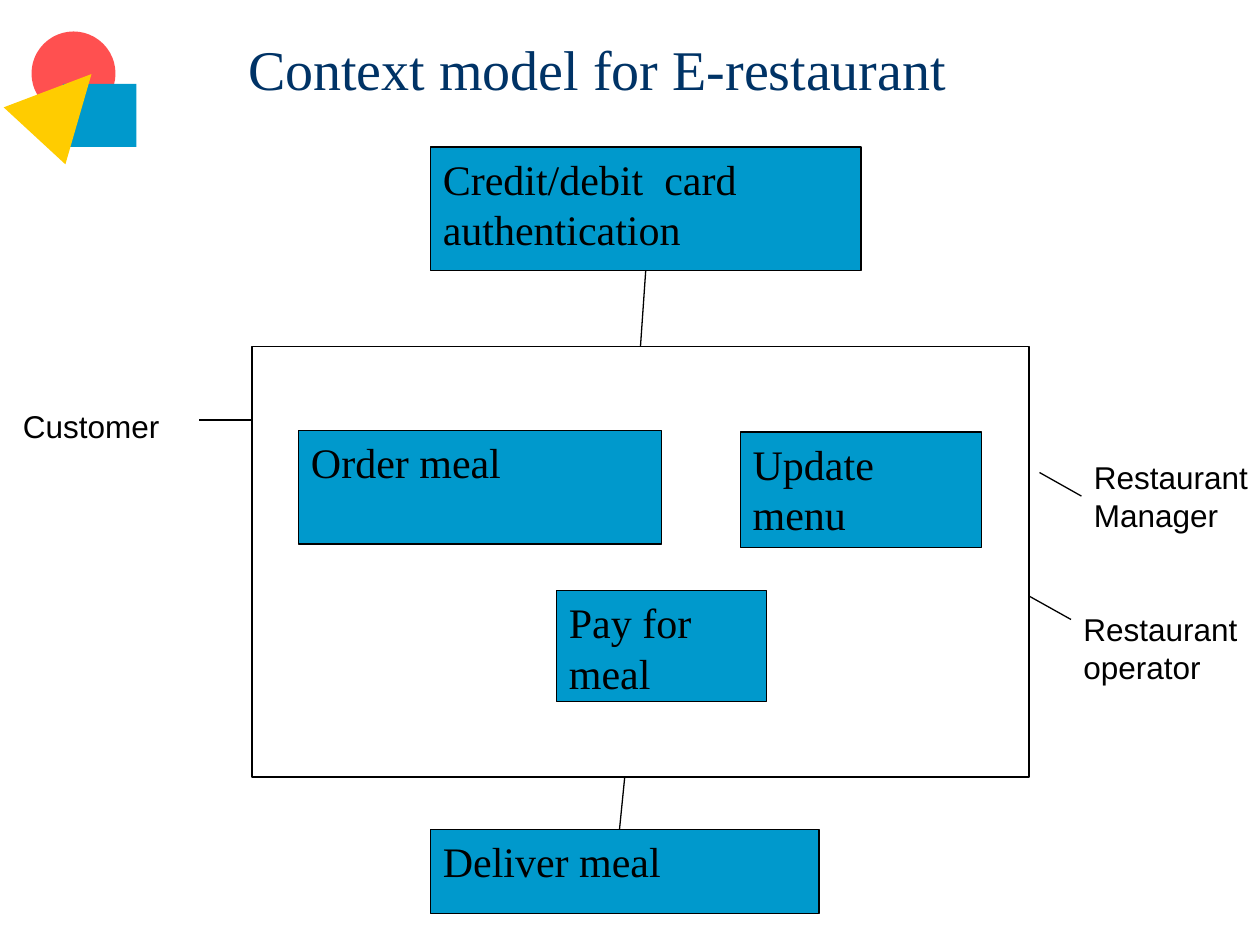
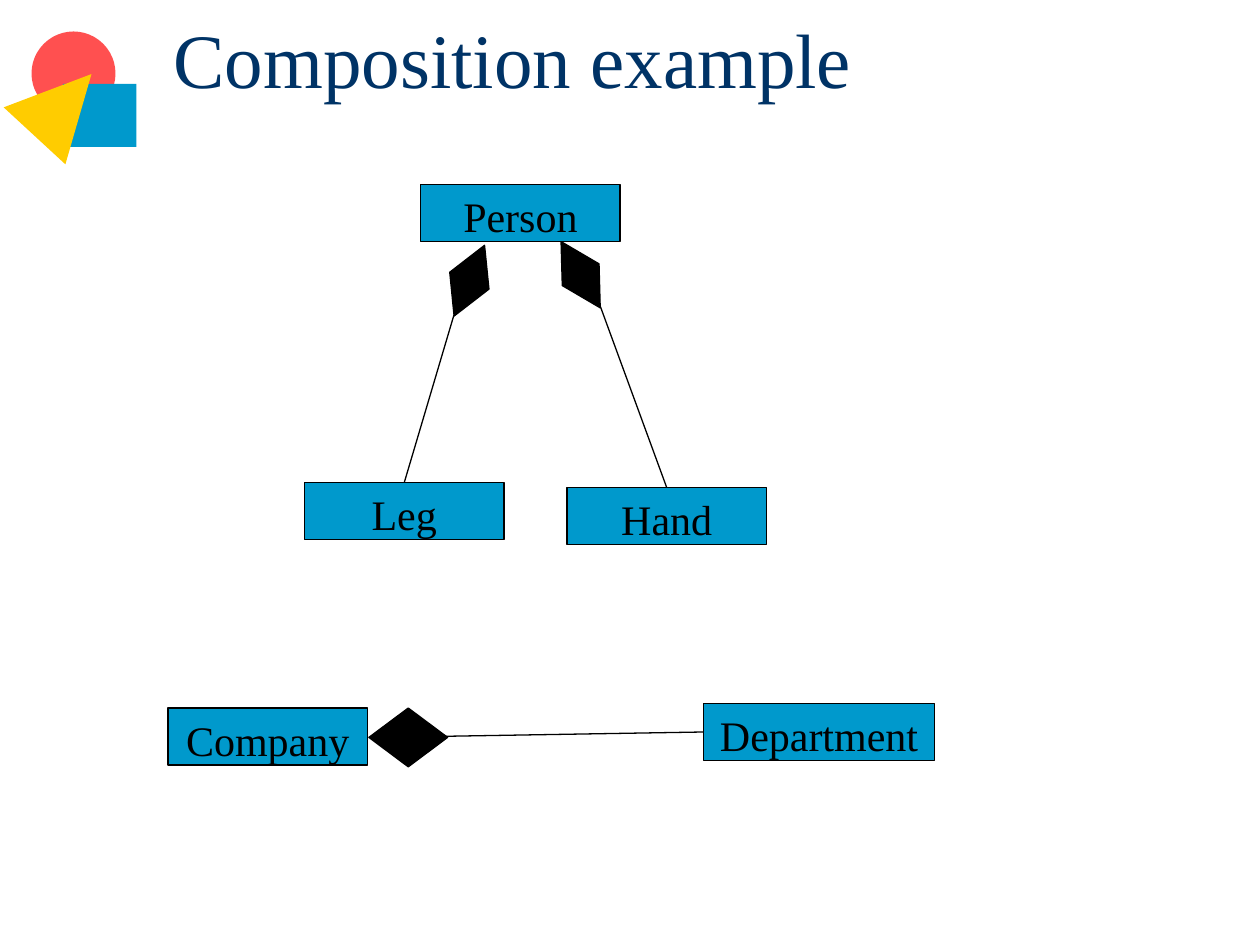
import pptx
import pptx.util
import pptx.dml.color
import pptx.enum.shapes
import pptx.enum.text
import pptx.oxml.ns
from lxml import etree

Pt = pptx.util.Pt
SHAPE = pptx.enum.shapes.MSO_SHAPE
ALIGN = pptx.enum.text.PP_ALIGN
ANCHOR = pptx.enum.text.MSO_ANCHOR

COLOURS = {
    "title": "003366",
    "ink": "000000",
    "box": "0099CC",
    "circle": "FF5050",
    "triangle": "FFCC00",
}
SERIF, SANS = "Times New Roman", "Arial"
TOP, LEFT = 0, 1  # connection sites of a rectangle
BOTTOM = 2

# Corner ornament: preset, (left, top, width, height), rotation, colour
ORNAMENT = [
    (SHAPE.OVAL, (18, 18, 48, 48), 0, "circle"),
    (SHAPE.RECTANGLE, (36, 48, 42, 36), 0, "box"),
    (SHAPE.ISOSCELES_TRIANGLE, (12, 36, 48, 48), 42.7, "triangle"),
]

# Boxes and labels: name -> (text, left, top, width, height)
# Links: each end is a point or a (name, side) pair
SLIDES = [
    {
        "title": ("Context model for E-restaurant", 32, (134.6, -6, 531.4, 90)),
        "align": ALIGN.LEFT,
        "boxes": {
            "system": ("", 144, 198, 444, 246),
            "order": ("Order meal", 170.6, 246.2, 207.4, 64.8),
            "pay": ("Pay for meal", 318, 337.5, 120, 63.4),
            "update": ("Update menu", 423, 246.8, 138, 66),
            "deliver": ("Deliver meal", 246, 474, 222, 48),
            "card": ("Credit/debit  card authentication", 246, 84, 246, 70.6),
        },
        "labels": {
            "customer": ("Customer", 6, 229, 96, 28.8),
            "manager": ("Restaurant\nManager", 618, 258, 114, 51),
            "operator": ("Restaurant\noperator", 612, 345, 114, 51),
        },
        "links": [
            ((114, 240), (144, 240)),
            (("card", BOTTOM), ("system", TOP)),
            ((354, 474), (357, 444)),
            (("manager", LEFT), (594, 270)),
            ((612, 354), (588, 340.6)),
        ],
        "diamonds": [],
    },
    {
        "title": ("Composition example", 44, (92, -12, 612, 90)),
        "align": ALIGN.CENTER,
        "boxes": {
            "person": ("Person", 240.4, 105.4, 114, 32.6),
            "leg": ("Leg", 174, 275.8, 114, 32.6),
            "hand": ("Hand", 324, 278.6, 114, 32.6),
            "company": ("Company", 96, 404.6, 114, 32.6),
            "department": ("Department", 402, 402, 132, 32.6),
        },
        "labels": {},
        "links": [
            ((259.4, 180), ("leg", TOP)),
            ((342.8, 174.4), ("hand", TOP)),
            (("department", LEFT), (252, 420.8)),
        ],
        # (left, top, width, height), rotation
        "diamonds": [
            ((256, 138.4, 24.4, 44), 23.3),
            ((319.6, 135, 24.4, 44), 329.4),
            ((210.8, 404.6, 45, 33.6), 0),
        ],
    },
]


def rgb(name):
    return pptx.dml.color.RGBColor.from_string(COLOURS[name])


def format_text(text_frame, text, size, font, colour, align):
    text_frame.word_wrap = True
    text_frame.text = text
    for paragraph in text_frame.paragraphs:
        paragraph.alignment = align
        paragraph.font.size = Pt(size)
        paragraph.font.name = font
        paragraph.font.color.rgb = rgb(colour)


def add_preset(slide, preset, area, fill, line=None, rotation=0):
    shape = slide.shapes.add_shape(preset, *map(Pt, area))
    shape.shadow.inherit = False
    shape.rotation = rotation
    if fill:
        shape.fill.solid()
        shape.fill.fore_color.rgb = rgb(fill)
    else:
        shape.fill.background()
    if line:
        shape.line.color.rgb = rgb(line)
        shape.line.width = Pt(0.75)
    else:
        shape.line.fill.background()
    return shape


def add_box(slide, text, area, align):
    shape = add_preset(slide, SHAPE.RECTANGLE, area, "box" if text else None, "ink")
    if text:
        shape.text_frame.vertical_anchor = ANCHOR.TOP
        format_text(shape.text_frame, text, 24, SERIF, "ink", align)
    return shape


def add_label(slide, text, area):
    label = slide.shapes.add_textbox(*map(Pt, area))
    format_text(label.text_frame, text, 18, SANS, "ink", ALIGN.LEFT)
    label.text_frame.auto_size = pptx.enum.text.MSO_AUTO_SIZE.SHAPE_TO_FIT_TEXT
    return label


def add_link(slide, start, end, parts):
    # Named ends are joined to their part; the others stay at their point
    points = [(0, 0) if point[0] in parts else point for point in (start, end)]
    connector = slide.shapes.add_connector(
        pptx.enum.shapes.MSO_CONNECTOR.STRAIGHT, *(Pt(value) for point in points for value in point))
    for point, join in ((start, connector.begin_connect), (end, connector.end_connect)):
        if point[0] in parts:
            join(parts[point[0]], point[1])
    connector.line.color.rgb = rgb("ink")
    connector.line.width = Pt(0.75)
    etree.SubElement(connector._element.spPr, pptx.oxml.ns.qn("a:effectLst"))


def add_title(slide, text, size, area):
    title = slide.shapes.title
    title.left, title.top, title.width, title.height = map(Pt, area)
    title.text_frame.vertical_anchor = ANCHOR.MIDDLE
    format_text(title.text_frame, text, size, SERIF, "title", ALIGN.LEFT)


def build_slide(presentation, content):
    slide = presentation.slides.add_slide(presentation.slide_layouts[5])
    for preset, area, rotation, colour in ORNAMENT:
        add_preset(slide, preset, area, colour, rotation=rotation)
    add_title(slide, *content["title"])
    parts = {}
    for name, (text, *area) in content["boxes"].items():
        parts[name] = add_box(slide, text, area, content["align"])
    for name, (text, *area) in content["labels"].items():
        parts[name] = add_label(slide, text, area)
    for start, end in content["links"]:
        add_link(slide, start, end, parts)
    for area, rotation in content["diamonds"]:
        add_preset(slide, SHAPE.DIAMOND, area, "ink", "ink", rotation)


def main():
    presentation = pptx.Presentation()
    presentation.slide_width, presentation.slide_height = Pt(720), Pt(540)
    for content in SLIDES:
        build_slide(presentation, content)
    presentation.save("out.pptx")


if __name__ == "__main__":
    main()
